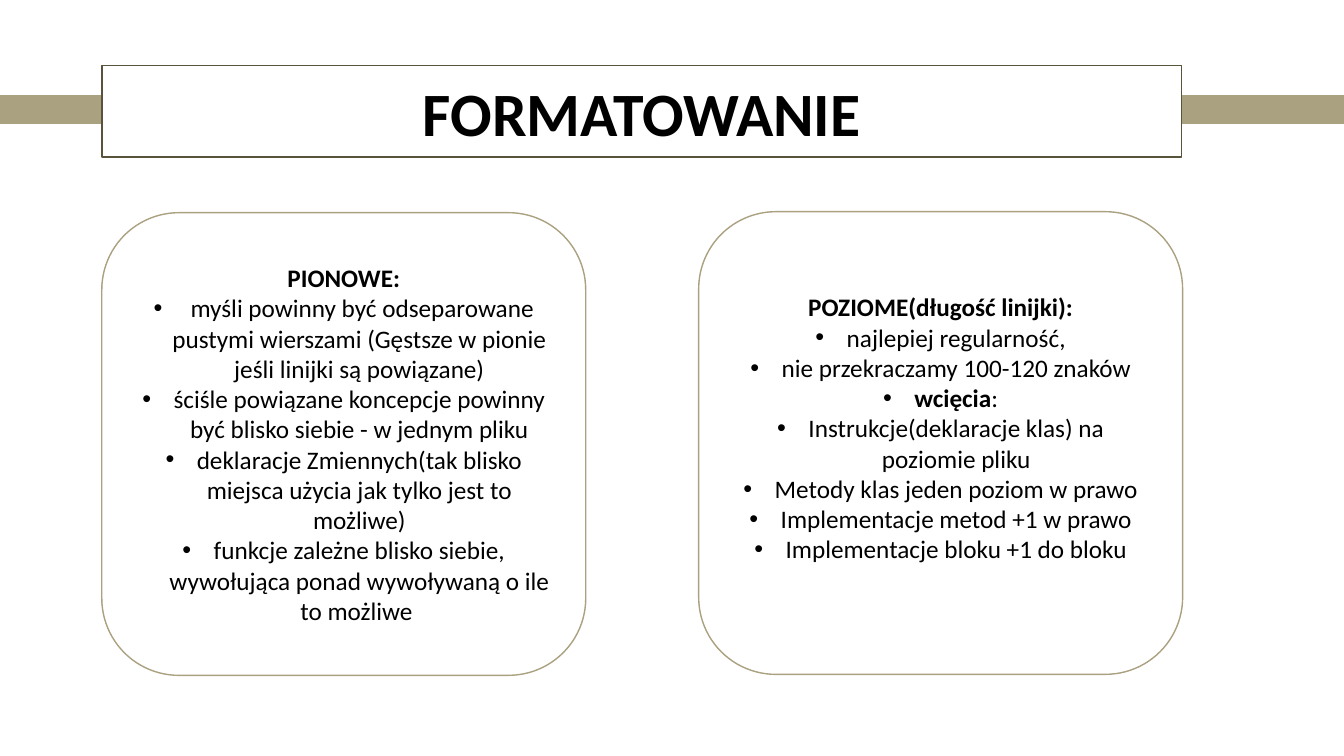
import pptx
import pptx.util
import pptx.dml.color
import pptx.enum.shapes
import pptx.enum.text
from lxml import etree

Inches = pptx.util.Inches
Pt = pptx.util.Pt
SHAPE = pptx.enum.shapes.MSO_SHAPE
NS = "http://schemas.openxmlformats.org/drawingml/2006/main"


def rgb(value):
    return pptx.dml.color.RGBColor.from_string(value)


class Deck:
    font = "Calibri"
    text = "000000"
    paper = "FFFFFF"
    accent = "AAA180"
    frame = "59533C"

    def __init__(self):
        self.prs = pptx.Presentation()
        self.prs.slide_width = Inches(13.33)
        self.prs.slide_height = Inches(7.5)
        self.s = self.prs.slides.add_slide(self.prs.slide_layouts[6])

    def shape(self, kind, left, top, width, height, fill, line):
        sp = self.s.shapes.add_shape(
            kind, Inches(left), Inches(top), Inches(width), Inches(height))
        sp.shadow.inherit = False
        sp.fill.solid()
        sp.fill.fore_color.rgb = rgb(fill)
        sp.line.color.rgb = rgb(line)
        sp.line.width = Pt(1)
        return sp

    def style(self, p, size):
        p.alignment = pptx.enum.text.PP_ALIGN.CENTER
        for r in p.runs:
            r.font.name = self.font
            r.font.size = Pt(size)
            r.font.color.rgb = rgb(self.text)

    def heading(self, tf, text, size):
        tf.word_wrap = True
        tf.vertical_anchor = pptx.enum.text.MSO_ANCHOR.MIDDLE
        tf.text = text
        p = tf.paragraphs[0]
        self.style(p, size)
        p.runs[0].font.bold = True

    def bullet(self, tf, text, term=""):
        p = tf.add_paragraph()
        pPr = p._p.get_or_add_pPr()
        pPr.set("marL", str(Inches(0.31)))
        pPr.set("indent", str(-Inches(0.31)))
        etree.SubElement(pPr, f"{{{NS}}}buFont", typeface="Arial")
        etree.SubElement(pPr, f"{{{NS}}}buChar", char="•")
        p.text = term or text
        if term:
            p.runs[0].font.bold = True
            p.add_run().text = text
        self.style(p, 18)

    def bar(self, left, width):
        self.shape(SHAPE.RECTANGLE, left, 0.95, width, 0.27, self.accent, self.accent)

    def title(self, text):
        sp = self.shape(SHAPE.RECTANGLE, 1.01, 0.65, 10.71, 0.91, self.paper, self.frame)
        self.heading(sp.text_frame, text, 44)

    def card(self, left, top, heading, bullets, bottom=0.05):
        sp = self.shape(SHAPE.ROUNDED_RECTANGLE, left, top, 4.8, 4.59, self.paper, self.accent)
        tf = sp.text_frame
        tf.margin_bottom = Inches(bottom)
        self.heading(tf, heading, 18)
        for bullet in bullets:
            self.bullet(tf, *bullet)


def main():
    deck = Deck()
    deck.card(1.01, 2.11, "PIONOWE:", [
        (" myśli powinny być odseparowane pustymi wierszami (Gęstsze w pionie jeśli linijki są powiązane)",),
        ("ściśle powiązane koncepcje powinny być blisko siebie - w jednym pliku",),
        ("deklaracje Zmiennych(tak blisko miejsca użycia jak tylko jest to możliwe)",),
        ("funkcje zależne blisko siebie, wywołująca ponad wywoływaną o ile to możliwe ",),
    ])
    deck.card(6.93, 2.1, "POZIOME(długość linijki):", [
        ("najlepiej regularność,",),
        ("nie przekraczamy 100-120 znaków",),
        (":", "wcięcia"),
        ("Instrukcje(deklaracje klas) na poziomie pliku",),
        ("Metody klas jeden poziom w prawo",),
        ("Implementacje metod +1 w prawo",),
        ("Implementacje bloku +1 do bloku",),
    ], bottom=0.35)
    deck.bar(11.61, 1.72)
    deck.bar(0, 1.12)
    deck.title("FORMATOWANIE")
    deck.prs.save("out.pptx")


if __name__ == "__main__":
    main()
